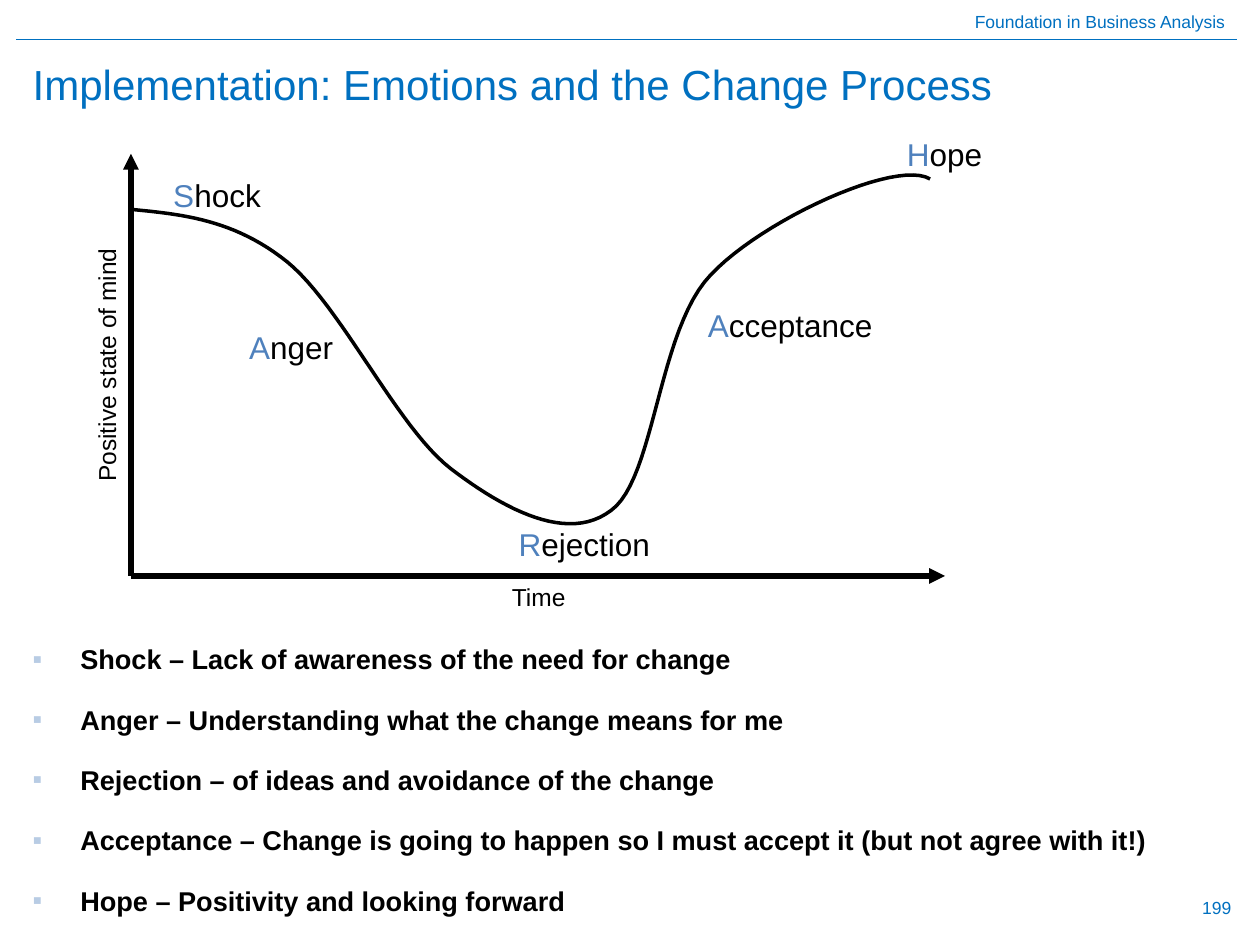
from lxml import etree
from pptx import Presentation
from pptx.dml.color import RGBColor
from pptx.enum.shapes import MSO_CONNECTOR
from pptx.enum.text import MSO_ANCHOR, PP_ALIGN
from pptx.oxml.ns import qn
from pptx.util import Cm, Pt

STRAIGHT = MSO_CONNECTOR.STRAIGHT
TOP, MIDDLE = MSO_ANCHOR.TOP, MSO_ANCHOR.MIDDLE
LEFT, CENTER, RIGHT = PP_ALIGN.LEFT, PP_ALIGN.CENTER, PP_ALIGN.RIGHT

BLUE = RGBColor(0x00, 0x70, 0xC0)
INITIAL = RGBColor(0x4F, 0x81, 0xBD)
BLACK = RGBColor(0x00, 0x00, 0x00)
BULLET_COLOR = "B8CCE4"
FONT = "Arial"

# Axes, in cm
ORIGIN = (2.64, 11.61)
Y_AXIS_END = (2.64, 3.1)
X_AXIS_END = (19.05, 11.61)

# Emotion curve: start point, then two control points and an end per segment
CURVE_START = (2.62, 4.22)
CURVE_SEGMENTS = [
    ((3.66, 4.32), (4.72, 4.42), (5.79, 5.28)),
    ((6.88, 6.17), (8, 8.61), (9.09, 9.45)),
    ((10.19, 10.29), (11.46, 10.95), (12.32, 10.29)),
    ((13.21, 9.65), (13.26, 6.65), (14.33, 5.54)),
    ((15.39, 4.42), (18.08, 3.2), (18.75, 3.61)),
]
CURVE_STEPS = 24

# Stage name, left, top, width
STAGES = [
    ("Shock", 3.23, 3.43, 2.29),
    ("Anger", 4.75, 6.48, 2.24),
    ("Rejection", 10.19, 10.46, 3.18),
    ("Acceptance", 14, 6.05, 3.86),
    ("Hope", 18.01, 2.59, 2.06),
]

EXPLANATIONS = [
    "Shock – Lack of awareness of the need for change",
    "Anger – Understanding what the change means for me",
    "Rejection – of ideas and avoidance of the change",
    "Acceptance – Change is going to happen so I must accept it (but not agree with it!)",
    "Hope – Positivity and looking forward",
]


def add_run(p, text, size, color, bold=False):
    r = p.add_run()
    r.text = text
    r.font.name = FONT
    r.font.size = Pt(size)
    r.font.color.rgb = color
    r.font.bold = bold


def add_text(s, text, left, top, width, height, *, size, color=BLACK,
             initial=None, align=LEFT, anchor=TOP, wrap=True, rotation=0):
    """Add a text box; initial is an optional colour for the first letter."""
    sp = s.shapes.add_textbox(Cm(left), Cm(top), Cm(width), Cm(height))
    sp.rotation = rotation
    tf = sp.text_frame
    tf.word_wrap = wrap
    tf.vertical_anchor = anchor
    p = tf.paragraphs[0]
    p.alignment = align
    if initial is not None:
        add_run(p, text[0], size, initial)
        text = text[1:]
    add_run(p, text, size, color)
    return sp


def add_line(s, start, end, color, width, arrow=False):
    x1, y1, x2, y2 = (Cm(v) for v in (*start, *end))
    line = s.shapes.add_connector(STRAIGHT, x1, y1, x2, y2)
    line.line.color.rgb = color
    line.line.width = Pt(width)
    if arrow:
        ln = line.line._get_or_add_ln()
        etree.SubElement(ln, qn("a:tailEnd"), type="triangle")
    etree.SubElement(line._element.spPr, qn("a:effectLst"))


def bezier(points, t):
    weights = ((1 - t) ** 3, 3 * t * (1 - t) ** 2, 3 * t ** 2 * (1 - t), t ** 3)
    return tuple(Cm(sum(w * pt[i] for w, pt in zip(weights, points)))
                 for i in (0, 1))


def add_curve(s, start, segments, color, width):
    builder = s.shapes.build_freeform(Cm(start[0]), Cm(start[1]))
    vertices = []
    for segment in segments:
        vertices += [bezier((start, *segment), i / CURVE_STEPS)
                     for i in range(1, CURVE_STEPS + 1)]
        start = segment[-1]
    builder.add_line_segments(vertices, close=False)
    sp = builder.convert_to_shape()
    sp.shadow.inherit = False
    sp.fill.background()
    sp.line.color.rgb = color
    sp.line.width = Pt(width)


def add_bullets(s, items, left, top, width, height, size):
    sp = s.shapes.add_textbox(Cm(left), Cm(top), Cm(width), Cm(height))
    tf = sp.text_frame
    tf.word_wrap = True
    for i, item in enumerate(items):
        p = tf.add_paragraph() if i else tf.paragraphs[0]
        p.space_after = Pt(12)
        if i:
            p.space_before = Pt(3.9)
        pPr = p._p.get_or_add_pPr()
        pPr.set("marL", str(Cm(0.96)))
        pPr.set("indent", str(Cm(-0.96)))
        bullet_color = etree.SubElement(pPr, qn("a:buClr"))
        etree.SubElement(bullet_color, qn("a:srgbClr"), val=BULLET_COLOR)
        etree.SubElement(pPr, qn("a:buFont"), typeface=FONT)
        etree.SubElement(pPr, qn("a:buChar"), char="▪")
        add_run(p, item, size, BLACK, bold=True)


def main():
    prs = Presentation()
    prs.slide_width, prs.slide_height = Cm(25.4), Cm(19.05)
    s = prs.slides.add_slide(prs.slide_layouts[6])

    # Header, page number and title
    header = add_text(s, "Foundation in Business Analysis", 0, 0.1, 25.4, 0.69,
                      size=10, color=BLUE, align=RIGHT)
    header.text_frame.margin_right = Cm(0.71)
    add_line(s, (0.33, 0.79), (24.94, 0.79), BLUE, 0.75)
    add_text(s, "199", 19.15, 17.78, 5.92, 1.02,
             size=10, color=BLUE, align=RIGHT, anchor=MIDDLE)
    add_text(s, "Implementation: Emotions and the Change Process",
             0.41, 0.99, 24.41, 1.4, size=24, color=BLUE, anchor=MIDDLE)

    # Axes and curve
    for end in (Y_AXIS_END, X_AXIS_END):
        add_line(s, ORIGIN, end, BLACK, 3, arrow=True)
    add_curve(s, CURVE_START, CURVE_SEGMENTS, BLACK, 2)

    # Stage and axis labels
    for name, left, top, width in STAGES:
        add_text(s, name, left, top, width, 1.02, size=18, initial=INITIAL,
                 align=CENTER, wrap=False)
    add_text(s, "Time", 10.06, 11.61, 1.6, 0.86,
             size=14, align=CENTER, wrap=False)
    add_text(s, "Positive state of mind", -0.46, 6.93, 5.23, 0.86,
             size=14, align=CENTER, wrap=False, rotation=270)

    # Explanations
    add_bullets(s, EXPLANATIONS, 0.41, 12.83, 24.41, 5.61, 15.5)

    prs.save("out.pptx")


if __name__ == "__main__":
    main()
